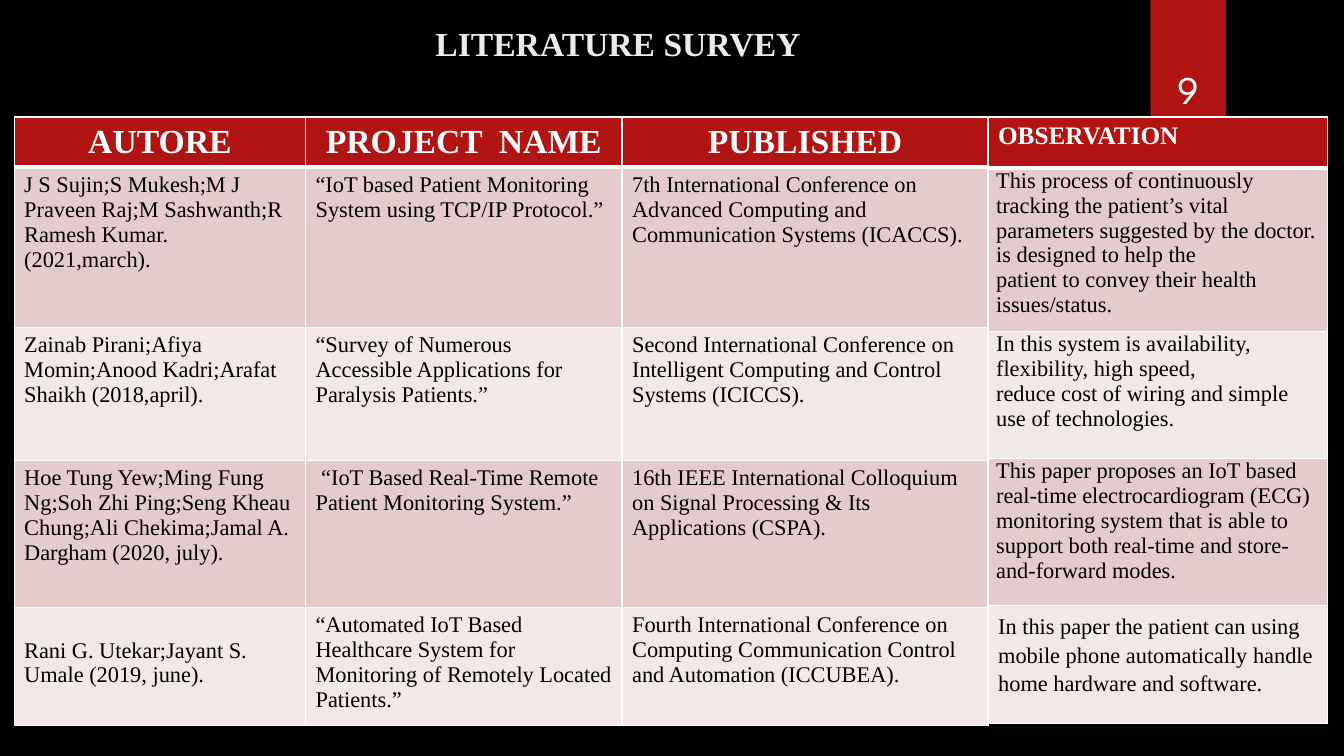
from lxml import etree
from pptx import Presentation
from pptx.dml.color import RGBColor
from pptx.enum.shapes import MSO_SHAPE
from pptx.enum.text import MSO_ANCHOR, PP_ALIGN
from pptx.oxml.ns import qn
from pptx.util import Emu, Pt

RECT = MSO_SHAPE.RECTANGLE
TOP, MIDDLE, BOTTOM = MSO_ANCHOR.TOP, MSO_ANCHOR.MIDDLE, MSO_ANCHOR.BOTTOM
LEFT, CENTER = PP_ALIGN.LEFT, PP_ALIGN.CENTER
SCALE = 9144  # EMU in one px, 100 px to the inch
SERIF, SANS = "Times New Roman", "League Spartan"
RED, WHITE, BLACK = "B01513", "FFFFFF", "000000"
BANDS = ["E4CCCC", "F2E8E7"]

HEADS = ["AUTORE", "PROJECT  NAME", "PUBLISHED"]
PAPERS = [
    ["J S Sujin;S Mukesh;M J Praveen Raj;M Sashwanth;R Ramesh Kumar. (2021,march).",
     "“IoT based Patient Monitoring System using TCP/IP Protocol.”",
     "7th International Conference on Advanced Computing and Communication Systems (ICACCS)."],
    ["Zainab Pirani;Afiya Momin;Anood Kadri;Arafat Shaikh (2018,april).",
     "“Survey of Numerous Accessible Applications for Paralysis Patients.”",
     "Second International Conference on Intelligent Computing and Control Systems (ICICCS)."],
    ["Hoe Tung Yew;Ming Fung Ng;Soh Zhi Ping;Seng Kheau Chung;Ali Chekima;"
     "Jamal A. Dargham (2020, july).",
     " “IoT Based Real-Time Remote Patient Monitoring System.”",
     "16th IEEE International Colloquium on Signal Processing & Its Applications (CSPA)."],
    ["Rani G. Utekar;Jayant S. Umale (2019, june).",
     "“Automated IoT Based Healthcare System for Monitoring of Remotely Located Patients.”",
     "Fourth International Conference on Computing Communication Control and Automation "
     "(ICCUBEA)."],
]
NOTES = [
    ["This process of continuously tracking the patient’s vital parameters suggested by the "
     "doctor. is designed to help the\npatient to convey their health issues/status."],
    ["In this system is availability, flexibility, high speed,\n"
     "reduce cost of wiring and simple use of technologies."],
    ["This paper proposes an IoT based real-time electrocardiogram (ECG) monitoring system "
     "that is able to\nsupport both real-time and store-and-forward modes."],
    ["In this paper the patient can using mobile phone automatically handle home hardware "
     "and software."],
]


def px(n):
    return Emu(n * SCALE)


def rgb(code):
    return RGBColor.from_string(code)


class Deck:
    def __init__(self, wide, high):
        self.prs = Presentation()
        self.prs.slide_width, self.prs.slide_height = px(wide), px(high)
        self.slide = self.prs.slides.add_slide(self.prs.slide_layouts[6])
        self.shapes = self.slide.shapes

    def back(self, color):
        fill = self.slide.background.fill
        fill.solid()
        fill.fore_color.rgb = rgb(color)

    def block(self, box, color):
        shape = self.shapes.add_shape(RECT, *map(px, box))
        shape.shadow.inherit = False
        shape.fill.solid()
        shape.fill.fore_color.rgb = rgb(color)
        shape.line.fill.background()

    def letter(self, frame, text, size, color, bold=False, align=LEFT, face=SERIF):
        """Set the text of a frame and style its paragraphs."""
        frame.text = text
        frame.word_wrap = True
        for para in frame.paragraphs:
            para.alignment = align
            font = para.font
            font.name, font.size, font.bold = face, Pt(size), bold
            font.color.rgb = rgb(color)

    def label(self, box, text, size, color, anchor=TOP, **style):
        frame = self.shapes.add_textbox(*map(px, box)).text_frame
        self.letter(frame, text, size, color, align=CENTER, **style)
        frame.vertical_anchor = anchor

    def border(self, cell, row):
        """Draw white cell sides, with a thick rule under the header row."""
        props = cell._tc.get_or_add_tcPr()
        for side in "LRTB":
            thick = (row, side) in [(0, "B"), (1, "T")]
            line = etree.SubElement(props, qn("a:ln" + side), w=str(Pt(3 if thick else 1)))
            fill = etree.SubElement(line, qn("a:solidFill"))
            etree.SubElement(fill, qn("a:srgbClr"), val=WHITE)

    def pad(self, cell, side, top):
        cell.margin_left = cell.margin_right = px(side)
        cell.margin_top = cell.margin_bottom = px(top)

    def table(self, left, top, cols, rows, heads, body, size, align, anchor):
        """Add a table with a red header and banded rows; size, align, anchor are the header's."""
        frame = self.shapes.add_table(len(rows), len(cols), px(left), px(top),
                                      px(sum(cols)), px(sum(rows)))
        grid = frame.table
        grid.horz_banding = False
        for col, width in zip(grid.columns, cols):
            col.width = px(width)
        for i, (high, texts) in enumerate(zip(rows, [heads] + body)):
            grid.rows[i].height = px(high)
            for j, text in enumerate(texts):
                cell = grid.cell(i, j)
                self.border(cell, i)
                self.pad(cell, 10, 5)
                cell.fill.solid()
                cell.fill.fore_color.rgb = rgb(BANDS[(i - 1) % 2] if i else RED)
                if i:
                    self.letter(cell.text_frame, text, 16, BLACK)
                else:
                    self.letter(cell.text_frame, text, size, WHITE, True, align)
                    cell.vertical_anchor = anchor
        return grid


def main():
    deck = Deck(1333, 750)
    deck.back(BLACK)
    deck.block((1141, 0, 75, 125), RED)
    deck.label((189, 18, 848, 74), "LITERATURE SURVEY", 24, "EBEBEB", bold=True)
    deck.label((1132, 32, 92, 84), "9", 28, WHITE, BOTTOM, face=SANS)

    papers = deck.table(14, 116, [289, 314, 363], [50, 159, 132, 146, 117],
                        HEADS, PAPERS, 24, CENTER, MIDDLE)
    papers.cell(4, 0).margin_top = px(30)

    notes = deck.table(980, 116, [337], [51, 162, 126, 146, 117],
                       ["OBSERVATION"], NOTES, 18, LEFT, TOP)
    for row in range(1, 4):
        deck.pad(notes.cell(row, 0), 8, 0)
    notes.cell(4, 0).text_frame.paragraphs[0].line_spacing = 1.15

    deck.prs.save("out.pptx")


if __name__ == "__main__":
    main()
